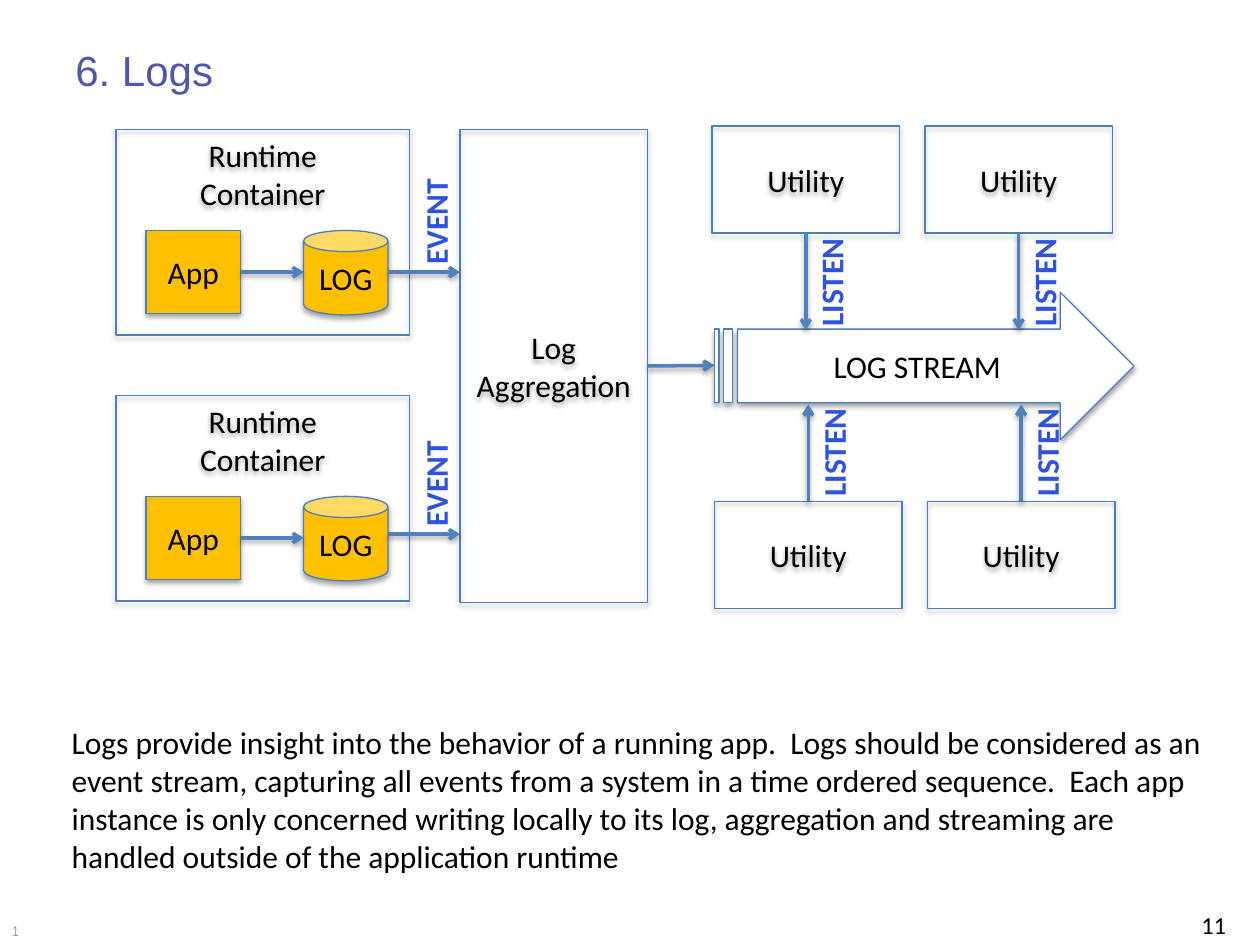
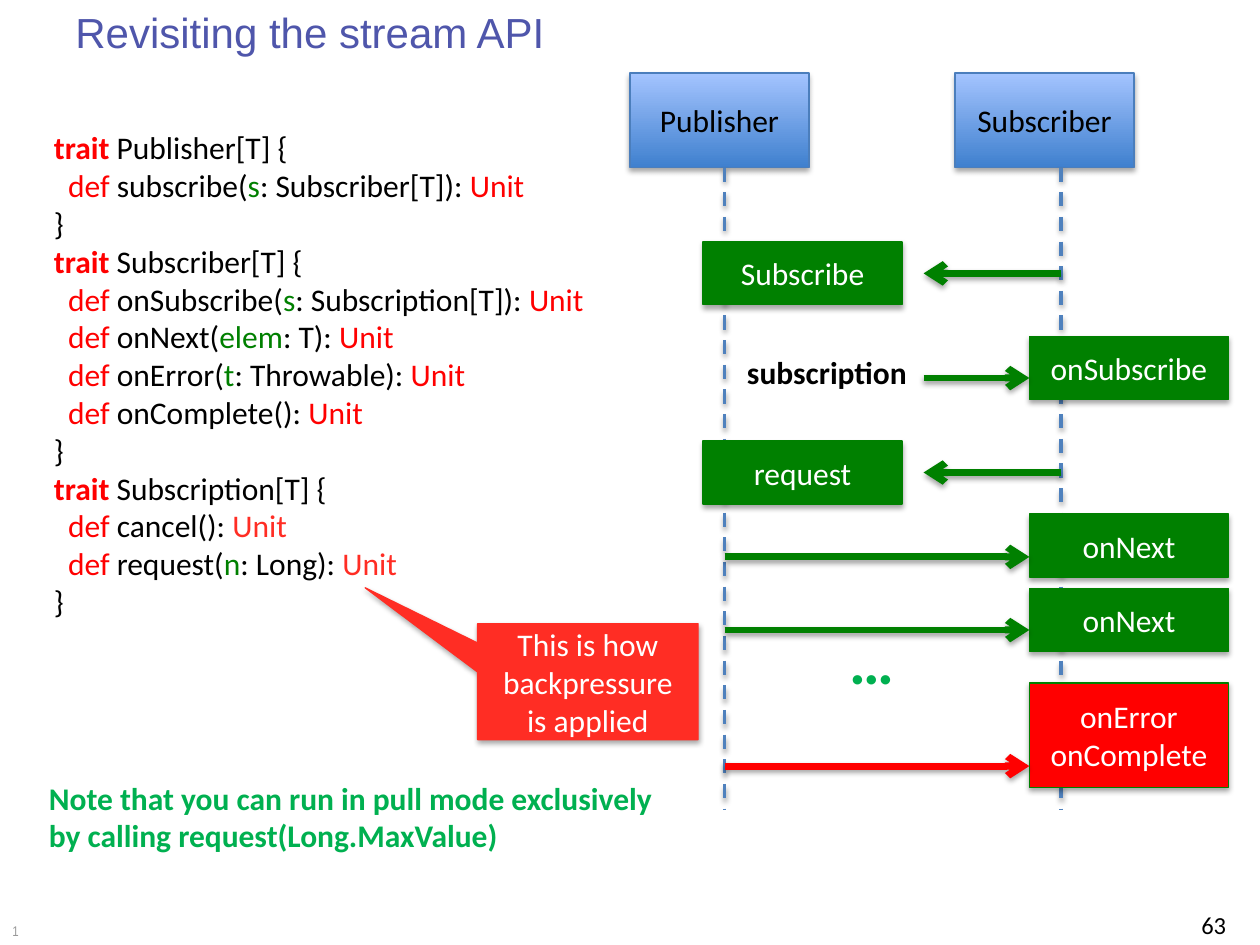
import pptx
import pptx.util
import pptx.dml.color
import pptx.enum.dml
import pptx.enum.shapes
import pptx.enum.text
import pptx.oxml
import pptx.oxml.ns
import lxml.etree

inch = pptx.util.Inches
rgb = pptx.dml.color.RGBColor.from_string
kinds = pptx.enum.shapes.MSO_SHAPE
align = pptx.enum.text.PP_ALIGN
anchor = pptx.enum.text.MSO_ANCHOR
qn = pptx.oxml.ns.qn

BLACK, WHITE = "000000", "FFFFFF"
EDGE, WIRE, LABEL = "4B7EBC", "4F81BD", "2E53DF"
GOLD, GREEN, RED = "FFC000", "008000", "FF0000"
CORAL, NOTE = "FF2D24", "00B050"


def put(page, kind, place, text, ink=BLACK, fill=None, edge=EDGE,
        size=18, bold=False, font="Calibri", side=None, top=False):
    place = [inch(n) for n in place]
    if kind is None:
        shape = page.shapes.add_textbox(*place)
    else:
        shape = page.shapes.add_shape(kind, *place)
        shape.shadow.inherit = False
        shape.line.color.rgb = rgb(edge)
        shape.line.width = pptx.util.Pt(0.75)
        if fill:
            shape.fill.solid()
            shape.fill.fore_color.rgb = rgb(fill)
        else:
            shape.fill.background()
        side = align.CENTER
    frame = shape.text_frame
    frame.word_wrap = True
    frame.vertical_anchor = anchor.TOP if top or kind is None else anchor.MIDDLE
    frame.text = text
    for para in frame.paragraphs:
        para.alignment = side or align.LEFT
        for run in para.runs:
            run.font.size = pptx.util.Pt(size)
            run.font.name = font
            run.font.bold = bold
            run.font.color.rgb = rgb(ink)
    return shape


def join(page, start, end, ink=WIRE, width=2, dash=False):
    wire = page.shapes.add_connector(
        pptx.enum.shapes.MSO_CONNECTOR.STRAIGHT, *[inch(n) for n in start + end])
    wire.line.color.rgb = rgb(ink)
    wire.line.width = pptx.util.Pt(width)
    if dash:
        wire.line.dash_style = pptx.enum.dml.MSO_LINE.DASH
    else:
        line = wire.line._get_or_add_ln()
        lxml.etree.SubElement(line, qn("a:tailEnd"), type="arrow")
    lxml.etree.SubElement(wire._element.spPr, qn("a:effectLst"))
    return wire


deck = pptx.Presentation()
deck.slide_width = inch(10)
deck.slide_height = inch(7.5)

pages = []
for title, top, number in [("6. Logs", 0.3, "11"), ("Revisiting the stream API", 0, "63")]:
    page = deck.slides.add_slide(deck.slide_layouts[6])
    put(page, None, (0.5, top, 9, 1.25), title, "4F56AB", size=24, font="Arial")
    put(page, None, (7.5, 7.17, 2.33, 0.23), number, size=14, side=align.RIGHT)
    put(page, None, (0, 7.27, 7.33, 0.23), "1", "999999", size=8, font="Arial Narrow")
    pages.append(page)
logs, api = pages

put(logs, None, (0.47, 5.69, 9.2, 1.31),
    "Logs provide insight into the behavior of a running app.  Logs should be "
    "considered as an event stream, capturing all events from a system in a time "
    "ordered sequence.  Each app instance is only concerned writing locally to its "
    "log, aggregation and streaming are handled outside of the application runtime")

hub = put(logs, kinds.RECTANGLE, (3.65, 1.03, 1.49, 3.75), "Log\vAggregation")
for top, out, tag in [(1.03, 2.16, 1.56), (3.14, 4.24, 3.64)]:
    put(logs, kinds.RECTANGLE, (0.92, top, 2.33, 1.63), "Runtime\vContainer", top=True)
    app = put(logs, kinds.RECTANGLE, (1.16, top + 0.8, 0.75, 0.66), "App", fill=GOLD)
    put(logs, kinds.CAN, (2.41, top + 0.8, 0.67, 0.67), "LOG", fill=GOLD)
    join(logs, (1.91, top + 1.13), (2.41, top + 1.13)).begin_connect(app, 3)
    join(logs, (3.08, out), (3.65, out))
    label = put(logs, None, (2.94, tag, 1.03, 0.4), "EVENT", LABEL, bold=True, side=align.CENTER)
    label.rotation = 270

join(logs, (5.14, 2.9), (5.67, 2.9)).begin_connect(hub, 3)
put(logs, kinds.STRIPED_RIGHT_ARROW, (5.67, 2.32, 3.33, 1.17), "LOG STREAM", fill=WHITE)
for left, top, site, near, far, tag in [(5.65, 1, 2, 1.85, 2.62, 2.04),
                                        (5.67, 3.98, 0, 3.98, 3.21, 3.39)]:
    for x in (left, left + 1.69):
        tool = put(logs, kinds.RECTANGLE, (x, top, 1.49, 0.85), "Utility")
        mid = x + 0.745
        join(logs, (mid, near), (mid, far)).begin_connect(tool, site)
        label = put(logs, None, (x + 0.43, tag, 1.03, 0.4), "LISTEN", LABEL,
                    bold=True, side=align.CENTER)
        label.rotation = 270

code = [
    "trait| Publisher[T] {",
    "  def |subscribe(|s|: Subscriber[T]): |Unit",
    "}",
    "trait| Subscriber[T] {",
    "  def |onSubscribe(|s|: Subscription[T]): |Unit",
    "  def |onNext(|elem|: T): |Unit",
    "  def |onError(|t|: Throwable): |Unit",
    "  def |onComplete(): |Unit",
    "}",
    "trait| Subscription[T] {",
    "  def |cancel(): |Unit",
    "  def |request(|n|: Long): |Unit",
    "}",
]
hues = {"trait": RED, "def": RED, "Unit": RED,
        "s": GREEN, "elem": GREEN, "t": GREEN, "n": GREEN}
frame = put(api, None, (0.33, 0.97, 7.17, 4.04), "").text_frame
for i, row in enumerate(code):
    para = frame.add_paragraph() if i else frame.paragraphs[0]
    if "Subscription[T] {" in row:
        hues["Unit"] = CORAL
    for part in row.split("|"):
        run = para.add_run()
        run.text = part
        run.font.size = pptx.util.Pt(18)
        run.font.name = "Calibri"
        run.font.bold = part == "trait"
        run.font.color.rgb = rgb(hues.get(part.strip(), BLACK))

for name, left, x in [("Publisher", 5, 5.75), ("Subscriber", 7.58, 8.42)]:
    role = put(api, kinds.RECTANGLE, (left, 0.58, 1.42, 0.75), name)
    role.fill.gradient()
    role.fill.gradient_angle = 90
    for stop, hue in zip(role.fill.gradient_stops, ("3F80CE", "A4C4FF")):
        stop.color.rgb = rgb(hue)
    join(api, (x, 1.33), (x, 6.42), dash=True)

for name, left, top, tall, fill in [
        ("Subscribe", 5.58, 1.92, 0.5, GREEN),
        ("request", 5.58, 3.5, 0.5, GREEN),
        ("onSubscribe", 8.17, 2.67, 0.5, GREEN),
        ("onNext", 8.17, 4.08, 0.5, GREEN),
        ("onNext", 8.17, 4.67, 0.5, GREEN),
        ("onError\nonComplete", 8.17, 5.42, 0.83, RED)]:
    put(api, kinds.RECTANGLE, (left, top, 1.58, tall), name, WHITE, fill, GREEN)

for start, end, y, ink in [
        (8.42, 7.33, 2.17, GREEN), (7.33, 8.17, 3, GREEN), (8.42, 7.33, 3.75, GREEN),
        (5.75, 8.17, 4.42, GREEN), (5.75, 8.17, 5, GREEN), (5.75, 8.17, 6.08, RED)]:
    join(api, (start, y), (end, y), ink, 4)

call = put(api, kinds.RECTANGULAR_CALLOUT, (3.79, 4.95, 1.75, 0.92),
           "This is how backpressure is applied", WHITE, CORAL, CORAL)
call.adjustments[0] = -1.01
call.adjustments[1] = -0.81

word = put(api, None, (5.83, 2.75, 1.49, 0.4), "subscription", bold=True)
dots = put(api, None, (6.64, 4.88, 0.56, 0.71), "…", NOTE, size=36, bold=True)
for box in (word, dots):
    box.text_frame.word_wrap = False
put(api, None, (0.29, 6.13, 5.78, 0.71),
    "Note that you can run in pull mode exclusively\vby calling request(Long.MaxValue)",
    NOTE, bold=True)

for page in pages:
    for shape in page.shapes:
        glow = shape._element.spPr.find(qn("a:effectLst"))
        if glow is not None:
            shade = lxml.etree.SubElement(glow, qn("a:outerShdw"), blurRad="39370",
                                          dist="22860", dir="5400000", rotWithShape="0")
            tint = lxml.etree.SubElement(shade, qn("a:srgbClr"), val=BLACK)
            lxml.etree.SubElement(tint, qn("a:alpha"), val="35000")

deck.save("out.pptx")
